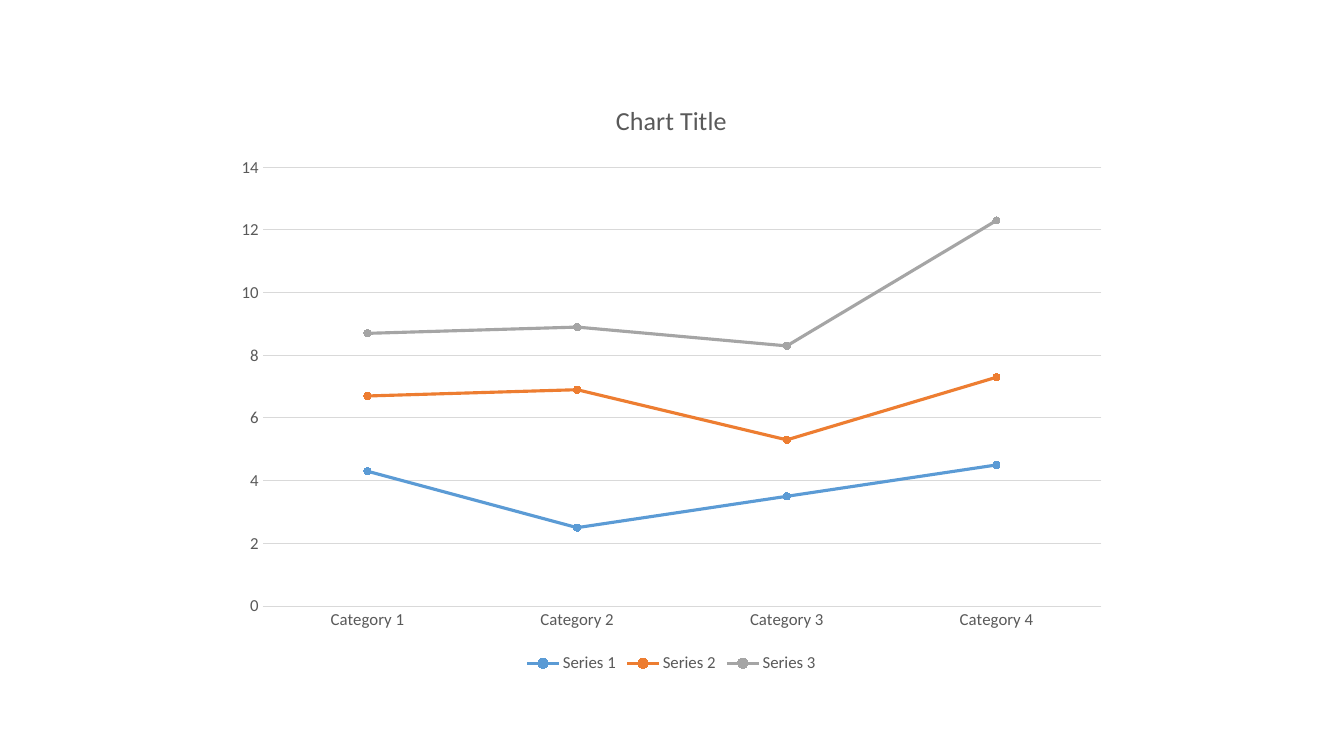
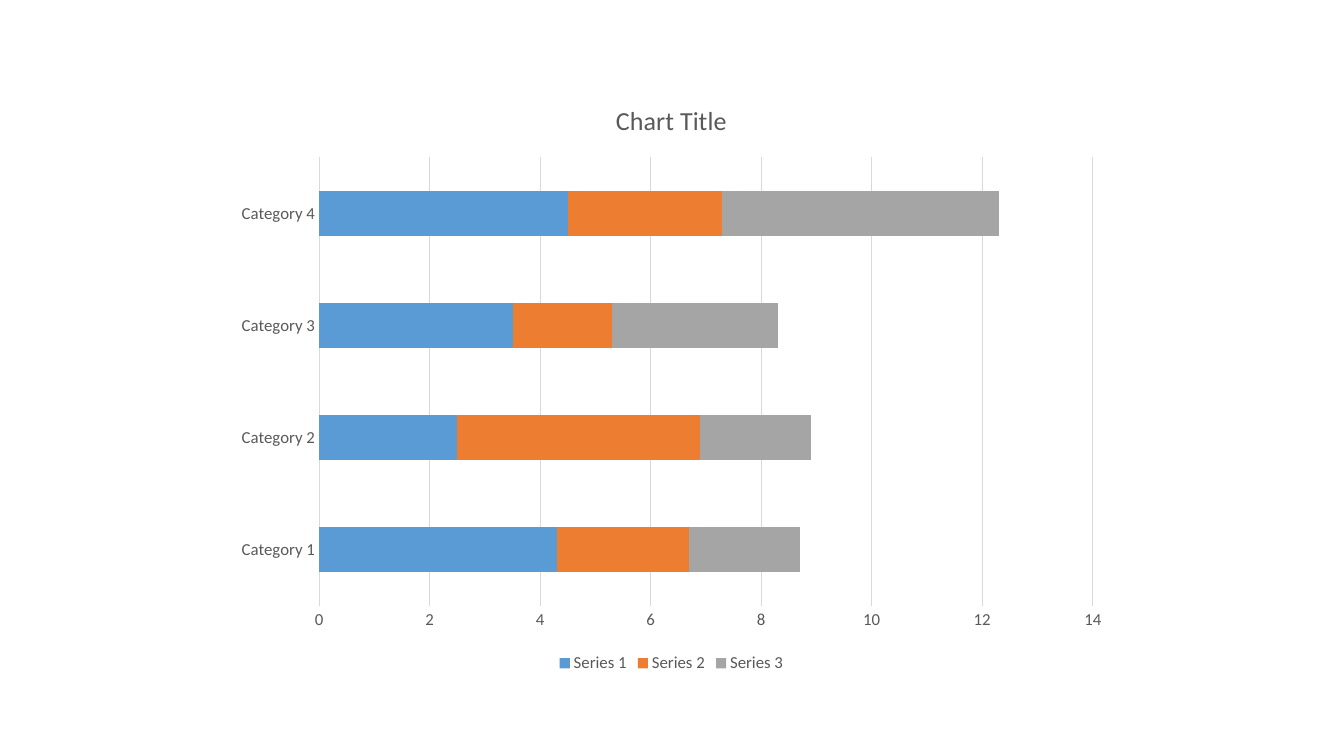
from pptx import Presentation
from pptx import util as u
from pptx.chart.data import CategoryChartData
from pptx.dml.color import RGBColor
from pptx.enum import chart as charts

PX = u.Inches(1) // 96
SLIDE_SIZE = (1280, 720)
CHART_BOX = (213, 76, 853, 569)
BLANK_LAYOUT = 6

FONT = "Calibri"
TEXT_GREY = RGBColor(0x59, 0x59, 0x59)
LINE_GREY = RGBColor(0xD9, 0xD9, 0xD9)
BLUE = RGBColor(0x5B, 0x9B, 0xD5)
ORANGE = RGBColor(0xED, 0x7D, 0x31)
GREY = RGBColor(0xA5, 0xA5, 0xA5)

CATEGORIES = [f"Category {number}" for number in range(1, 5)]
SERIES = [
    ("Series 1", (4.3, 2.5, 3.5, 4.5), BLUE),
    ("Series 2", (2.4, 4.4, 1.8, 2.8), ORANGE),
    ("Series 3", (2, 2, 3, 5), GREY),
]


def style_font(font, size=12):
    font.name = FONT
    font.size = u.Pt(size)
    font.bold = False
    font.color.rgb = TEXT_GREY


def style_line(line, color, width):
    line.color.rgb = color
    line.width = u.Pt(width)


def style_axes(chart):
    for axis in (chart.category_axis, chart.value_axis):
        axis.major_tick_mark = axis.minor_tick_mark = charts.XL_TICK_MARK.NONE
        style_font(axis.tick_labels.font)
    chart.category_axis.has_major_gridlines = False
    style_line(chart.category_axis.format.line, LINE_GREY, 0.75)

    chart.value_axis.has_major_gridlines = True
    style_line(chart.value_axis.major_gridlines.format.line, LINE_GREY, 0.75)
    chart.value_axis.format.line.fill.background()


def add_stacked_chart(deck, kind):
    """Add a page with one titled stacked chart and return its plot."""
    page = deck.slides.add_slide(deck.slide_layouts[BLANK_LAYOUT])
    data = CategoryChartData()
    data.categories = CATEGORIES
    for name, values, _ in SERIES:
        data.add_series(name, values)
    box = [length * PX for length in CHART_BOX]
    chart = page.shapes.add_chart(kind, *box, data).chart

    # Title and legend
    chart.font.name = FONT
    chart.has_title = True
    title = chart.chart_title.text_frame
    title.text = "Chart Title"
    style_font(title.paragraphs[0].runs[0].font, 18.6)
    chart.has_legend = True
    chart.legend.position = charts.XL_LEGEND_POSITION.BOTTOM
    chart.legend.include_in_layout = False
    style_font(chart.legend.font)

    style_axes(chart)
    plot = chart.plots[0]
    plot.vary_by_categories = False
    return plot


def add_line_page(deck):
    plot = add_stacked_chart(deck, charts.XL_CHART_TYPE.LINE_MARKERS_STACKED)
    for series, (_, _, color) in zip(plot.series, SERIES):
        series.smooth = False
        style_line(series.format.line, color, 2.25)
        marker = series.marker
        marker.style = charts.XL_MARKER_STYLE.CIRCLE
        marker.size = 5
        marker.format.fill.solid()
        marker.format.fill.fore_color.rgb = color
        style_line(marker.format.line, color, 0.75)


def add_bar_page(deck):
    plot = add_stacked_chart(deck, charts.XL_CHART_TYPE.BAR_STACKED)
    plot.gap_width = 150
    plot.overlap = 100
    for series, (_, _, color) in zip(plot.series, SERIES):
        series.format.fill.solid()
        series.format.fill.fore_color.rgb = color


def main():
    deck = Presentation()
    deck.slide_width, deck.slide_height = (side * PX for side in SLIDE_SIZE)
    add_line_page(deck)
    add_bar_page(deck)
    deck.save("out.pptx")


if __name__ == "__main__":
    main()
